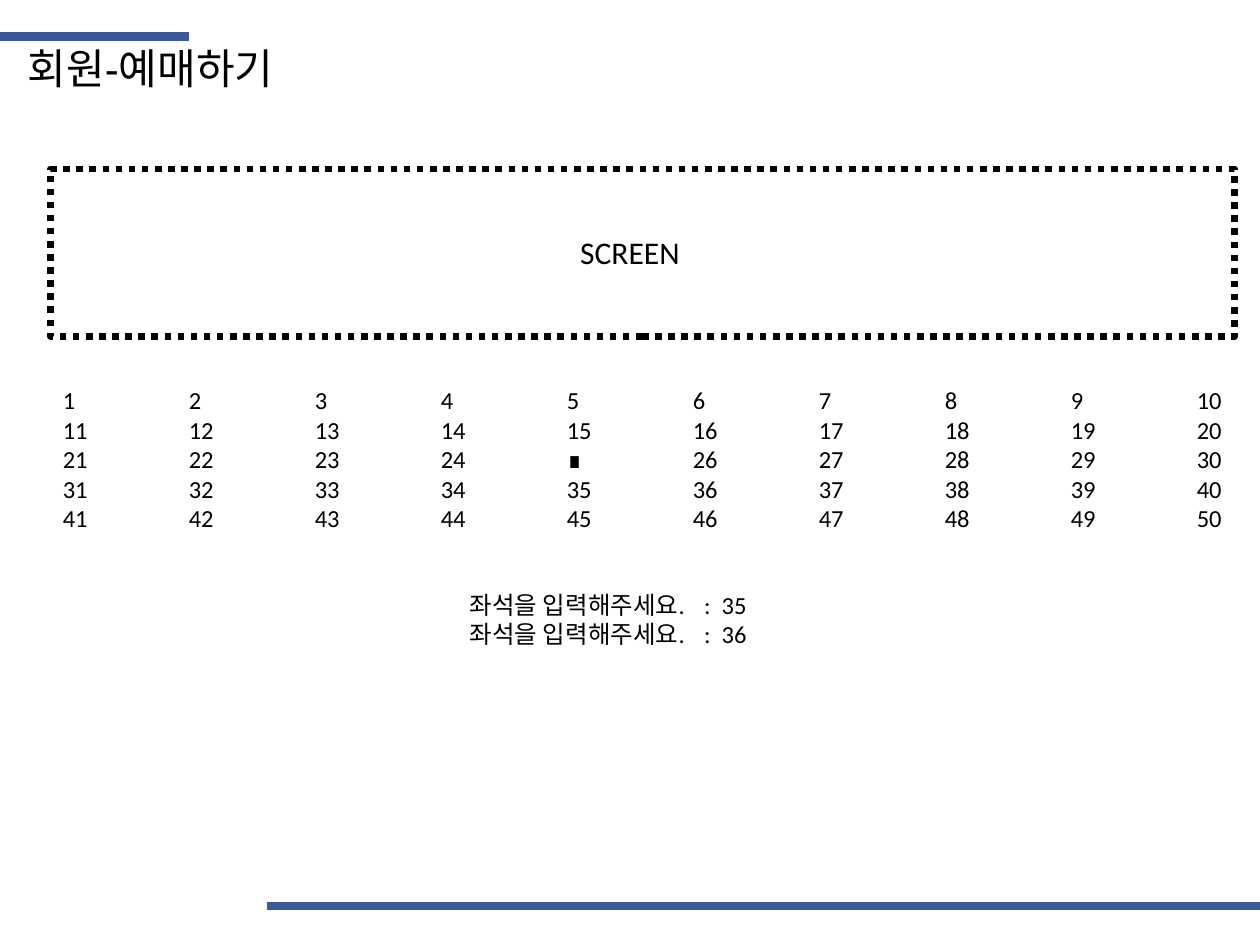
from dataclasses import dataclass

from lxml import etree
from pptx import Presentation
from pptx import util as u
from pptx.dml.color import RGBColor
from pptx.enum import dml, shapes, text
from pptx.oxml.ns import qn


@dataclass(frozen=True)
class Theme:
    ink: RGBColor = RGBColor(0x00, 0x00, 0x00)
    accent: RGBColor = RGBColor(0x3B, 0x59, 0x99)
    heading_font: str = "Arial"
    body_font: str = "Calibri"
    heading_size: int = 24
    label_size: int = 18
    body_size: int = 14
    rule_width: float = 5
    border_width: float = 3.75


THEME = Theme()
SLIDE_WIDTH, SLIDE_HEIGHT = 10, 7.5
SEAT_ROWS, SEAT_COLUMNS = 5, 10
TAKEN_SEAT, TAKEN_MARK = 25, "∎"


def set_tab_stops(paragraph, stops):
    tab_list = etree.SubElement(paragraph._p.get_or_add_pPr(), qn("a:tabLst"))
    for stop in stops:
        etree.SubElement(tab_list, qn("a:tab"), pos=str(u.Inches(stop)), algn="l")


def add_text(slide, box, lines, size, font=THEME.body_font, align=None, stops=()):
    """Add a text box with one paragraph per line and return its paragraphs."""
    frame = slide.shapes.add_textbox(*map(u.Inches, box)).text_frame
    frame.word_wrap = True
    for index, line in enumerate(lines):
        paragraph = frame.add_paragraph() if index else frame.paragraphs[0]
        if stops:
            set_tab_stops(paragraph, stops)
        if align is not None:
            paragraph.alignment = align
        for part in line if isinstance(line, list) else [line]:
            paragraph.add_run().text = part
        paragraph.font.name = font
        paragraph.font.size = u.Pt(size)
        paragraph.font.color.rgb = THEME.ink
    return frame.paragraphs


def add_rule(slide, left, right, top):
    rule = slide.shapes.add_connector(
        shapes.MSO_CONNECTOR.STRAIGHT, *map(u.Inches, (left, top, right, top)))
    rule.line.color.rgb = THEME.accent
    rule.line.width = u.Pt(THEME.rule_width)
    etree.SubElement(rule._element.spPr, qn("a:effectLst"))


def add_header(slide, box, title):
    left, top, width, height = box
    add_rule(slide, left, left + 1.5, top)
    add_text(slide, (left + 0.12, top, width - 0.12, height), [title],
             THEME.heading_size, THEME.heading_font)


def add_screen(slide, box):
    left, top, width, height = box
    screen = slide.shapes.add_shape(
        shapes.MSO_SHAPE.RECTANGLE, *map(u.Inches, box))
    screen.shadow.inherit = False
    screen.fill.background()
    screen.line.color.rgb = THEME.ink
    screen.line.width = u.Pt(THEME.border_width)
    screen.line.dash_style = dml.MSO_LINE.ROUND_DOT
    label_width = width / 2
    # The label is centred on the slide rather than on the screen outline.
    label_box = ((SLIDE_WIDTH - label_width) / 2, top + 0.46, label_width, 0.4)
    add_text(slide, label_box, ["SCREEN"], THEME.label_size,
             align=text.PP_ALIGN.CENTER)


def add_seats(slide, box):
    """Number the seats row by row, one inch apart, and mark the taken one."""
    lines = []
    for row in range(SEAT_ROWS):
        first = row * SEAT_COLUMNS + 1
        seats = range(first, first + SEAT_COLUMNS)
        line = "\t".join(
            TAKEN_MARK if seat == TAKEN_SEAT else str(seat) for seat in seats)
        before, mark, after = line.partition(TAKEN_MARK)
        lines.append([part for part in (before, mark, after) if part])
    paragraphs = add_text(slide, box, lines, THEME.body_size,
                          stops=range(1, SEAT_COLUMNS))
    for paragraph in paragraphs:
        for run in paragraph.runs:
            if run.text == TAKEN_MARK:
                run.font.name = THEME.heading_font


def add_prompts(slide, box, chosen_seats):
    lines = [f"좌석을 입력해주세요.\t:\t{seat}" for seat in chosen_seats]
    add_text(slide, box, lines, THEME.body_size, stops=(1.86, 2))


def main():
    presentation = Presentation()
    presentation.slide_width = u.Inches(SLIDE_WIDTH)
    presentation.slide_height = u.Inches(SLIDE_HEIGHT)
    slide = presentation.slides.add_slide(presentation.slide_layouts[6])
    add_header(slide, (0, 0.29, 4.49, 0.5), "회원-예매하기")
    add_rule(slide, 2.12, SLIDE_WIDTH, 7.19)
    add_screen(slide, (0.4, 1.34, 9.4, 1.33))
    add_seats(slide, (0.4, 3.01, 9.5, 1.28))
    add_prompts(slide, (3.63, 4.63, 4.1, 0.57), (35, 36))
    presentation.save("out.pptx")


if __name__ == "__main__":
    main()
